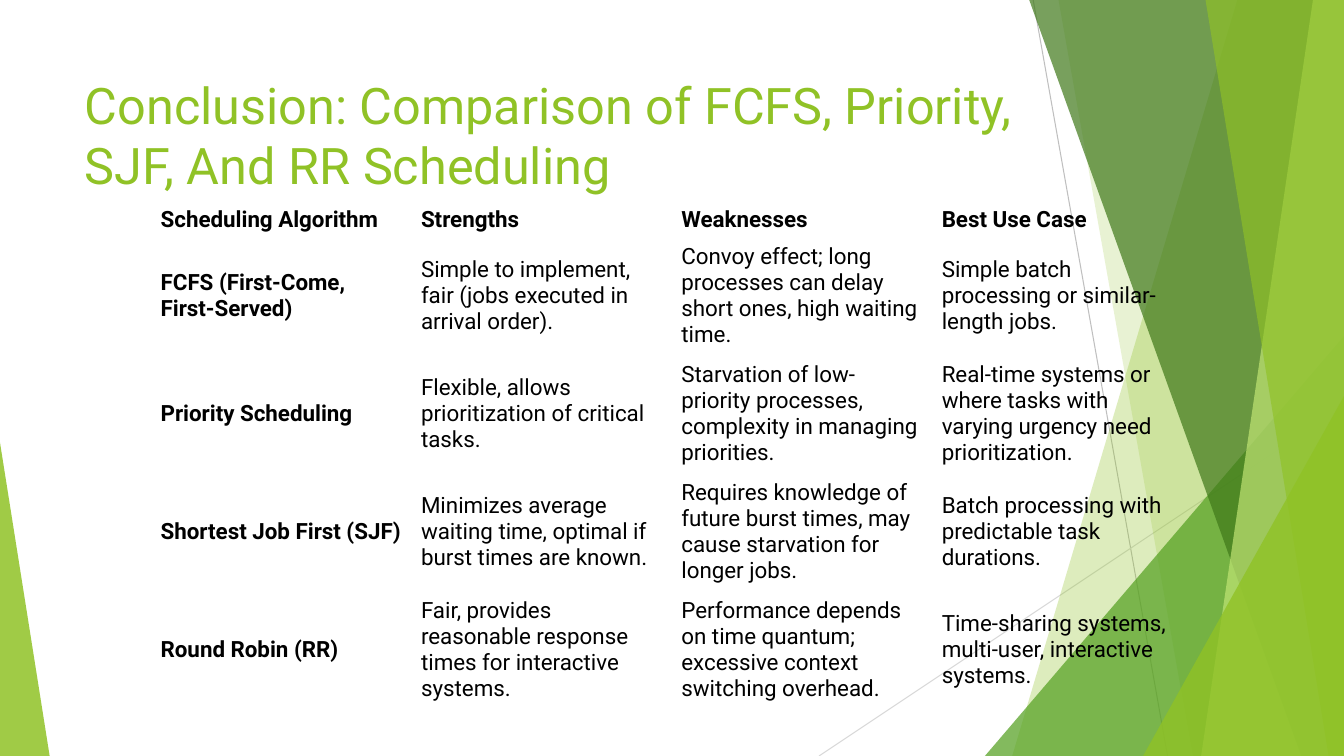
import pptx
import pptx.dml.color
import pptx.enum.shapes
import pptx.enum.text
import pptx.oxml.ns
import pptx.util
from lxml import etree

Pt = pptx.util.Pt
qn = pptx.oxml.ns.qn
MIDDLE = pptx.enum.text.MSO_ANCHOR.MIDDLE

WIDTH, HEIGHT = 960, 540
NO_GRID_STYLE = "{2D5ABB26-0587-4C30-8999-92F81FD0307C}"
COLOURS = {
    "lime": "90C226",
    "green": "54A021",
    "forest": "3F7819",
    "pale": "C0E474",
    "grey": "BFBFBF",
    "light grey": "D9D9D9",
    "black": "000000",
}


def colour(name):
    return pptx.dml.color.RGBColor.from_string(COLOURS[name])


def write(frame, text, size=16, color="black", bold=False, font="Roboto"):
    """Put one formatted paragraph into a text frame."""
    span = frame.paragraphs[0].add_run()
    span.text = text
    span.font.name = font
    span.font.size = Pt(size)
    span.font.bold = bold
    span.font.color.rgb = colour(color)


class Page:
    def __init__(self, deck):
        self.shapes = deck.slides.add_slide(deck.slide_layouts[6]).shapes

    def paint(self, shape, color, opacity):
        shape.shadow.inherit = False
        shape.line.fill.background()
        shape.fill.solid()
        shape.fill.fore_color.rgb = colour(color)
        tint = shape.element.spPr.find(qn("a:solidFill"))[0]
        etree.SubElement(tint, qn("a:alpha"), val=str(opacity * 1000))

    def line(self, start, end, color):
        line = self.shapes.add_connector(
            pptx.enum.shapes.MSO_CONNECTOR.STRAIGHT, *map(Pt, start + end))
        line.line.color.rgb = colour(color)
        line.line.width = Pt(0.75)
        etree.SubElement(line.element.spPr, qn("a:effectLst"))

    def band(self, top, bottom, color, opacity):
        """Fill from a slanted left edge to the right side of the slide."""
        builder = self.shapes.build_freeform(Pt(top), Pt(-0.6))
        corners = [(WIDTH, -0.6), (WIDTH, HEIGHT), (bottom, HEIGHT)]
        builder.add_line_segments([(Pt(x), Pt(y)) for x, y in corners])
        self.paint(builder.convert_to_shape(), color, opacity)

    def triangle(self, left, top, width, apex, color, opacity):
        """Draw a triangle that stands on the bottom edge."""
        shape = self.shapes.add_shape(
            pptx.enum.shapes.MSO_SHAPE.ISOSCELES_TRIANGLE,
            Pt(left), Pt(top), Pt(width), Pt(HEIGHT - top))
        shape.adjustments[0] = apex
        self.paint(shape, color, opacity)

    def title(self, text, left, top, width, height):
        box = self.shapes.add_textbox(Pt(left), Pt(top), Pt(width), Pt(height))
        box.text_frame.word_wrap = True
        box.text_frame.vertical_anchor = MIDDLE
        write(box.text_frame, text, size=36, color="lime")

    def table(self, rows, left, top, column_width, heights):
        columns = len(rows[0])
        table = self.shapes.add_table(
            len(rows), columns, Pt(left), Pt(top),
            Pt(column_width * columns), Pt(sum(heights))).table
        table.first_row = table.horz_banding = False
        style = table._tbl.tblPr.find(qn("a:tableStyleId"))
        style.text = NO_GRID_STYLE
        for column in table.columns:
            column.width = Pt(column_width)
        for r, (texts, height) in enumerate(zip(rows, heights)):
            table.rows[r].height = Pt(height)
            for c, text in enumerate(texts):
                cell = table.cell(r, c)
                cell.fill.background()
                cell.vertical_anchor = MIDDLE
                cell.margin_left = cell.margin_right = Pt(6.75)
                cell.margin_top = cell.margin_bottom = Pt(3.25)
                write(cell.text_frame, text, bold=r == 0 or c == 0)


ALGORITHMS = [
    ("Scheduling Algorithm", "Strengths", "Weaknesses", "Best Use Case"),
    ("FCFS (First-Come, First-Served)",
     "Simple to implement, fair (jobs executed in arrival order).",
     "Convoy effect; long processes can delay short ones, high waiting time.",
     "Simple batch processing or similar-length jobs."),
    ("Priority Scheduling",
     "Flexible, allows prioritization of critical tasks.",
     "Starvation of low-priority processes, complexity in managing priorities.",
     "Real-time systems or where tasks with varying urgency need prioritization."),
    ("Shortest Job First (SJF)",
     "Minimizes average waiting time, optimal if burst times are known.",
     "Requires knowledge of future burst times, may cause starvation for longer jobs.",
     "Batch processing with predictable task durations."),
    ("Round Robin (RR)",
     "Fair, provides reasonable response times for interactive systems.",
     "Performance depends on time quantum; excessive context switching overhead.",
     "Time-sharing systems, multi-user, interactive systems."),
]


def main():
    deck = pptx.Presentation()
    deck.slide_width, deck.slide_height = Pt(WIDTH), Pt(HEIGHT)
    page = Page(deck)

    # Faceted background, back to front
    page.line((738, 0), (834, HEIGHT), "grey")
    page.line((WIDTH, 290), (585, HEIGHT), "light grey")
    page.band(884, 723, "lime", 30)
    page.band(756, 852, "lime", 20)
    page.triangle(703.5, 240, 256.5, 1, "green", 72)
    page.band(735, 929.5, "forest", 70)
    page.band(938, 858, "pale", 70)
    page.band(861, 949, "lime", 65)
    page.triangle(816.5, 283, 143.5, 1, "lime", 80)
    page.triangle(0, 316, 35.5, 0, "lime", 85)

    # Title and comparison
    page.title("Conclusion: Comparison of FCFS, Priority, SJF, And RR Scheduling",
               53.5, 48, 677, 96)
    page.table(ALGORITHMS, 108, 144, 186, [26, 65] + [84.25] * 3)

    deck.save("out.pptx")


if __name__ == "__main__":
    main()
